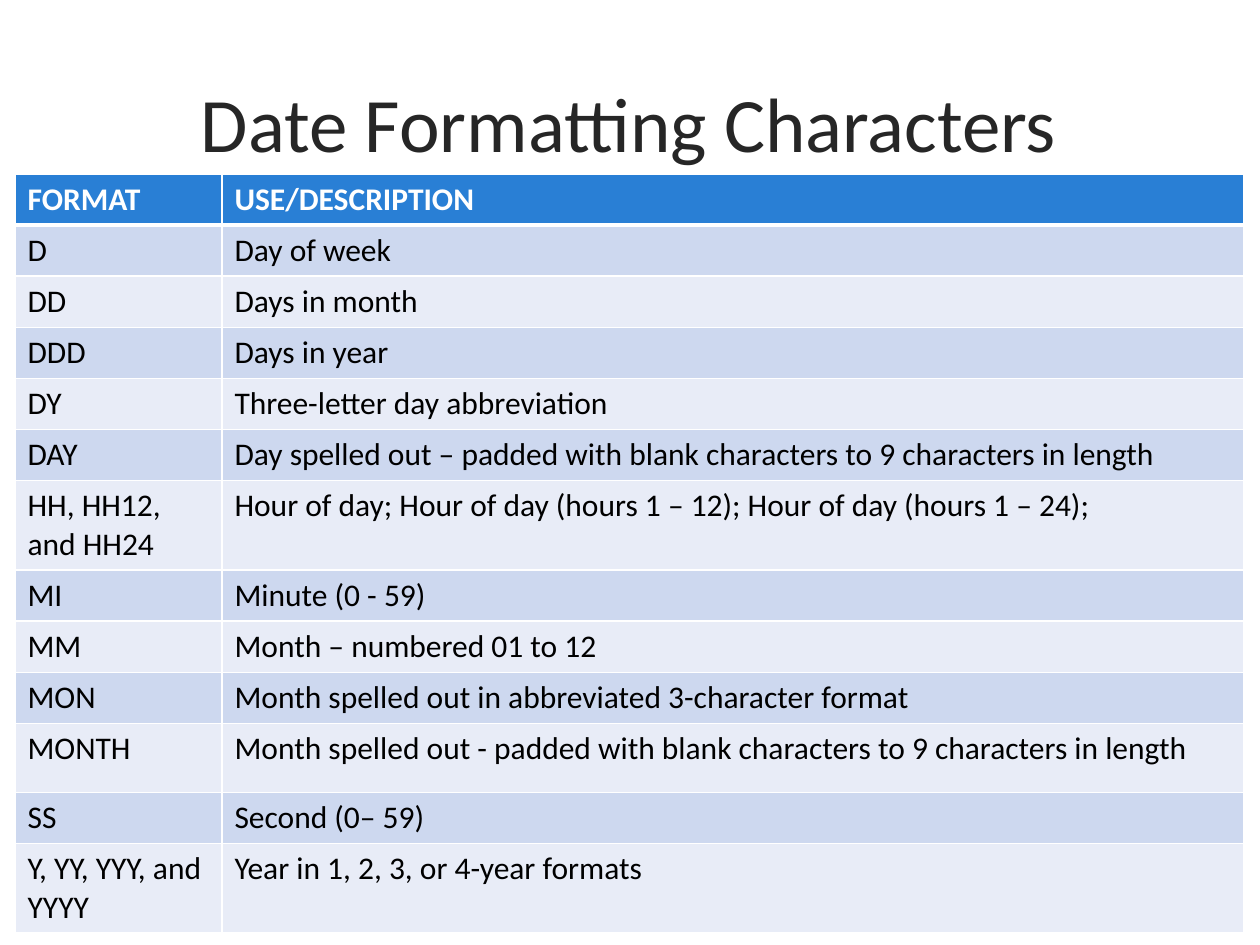
from lxml import etree
from pptx import Presentation
from pptx.dml.color import RGBColor
from pptx.enum.text import MSO_ANCHOR, PP_ALIGN
from pptx.oxml.ns import qn
from pptx.util import Pt

PX = 914400 // 126
MIDDLE = MSO_ANCHOR.MIDDLE
CENTER = PP_ALIGN.CENTER
FONT = "Calibri"
COLORS = {
    "title": "262626",
    "header": "297FD5",
    "odd": "CDD8EF",
    "even": "E8ECF7",
    "white": "FFFFFF",
    "black": "000000",
}
COLUMN_WIDTHS = (207, 1022)
ROW_HEIGHT = 40
TALL_ROW_HEIGHT = 69
TALL_FORMATS = ("HH, HH12, and HH24", "MONTH", "Y, YY, YYY, and YYYY")
FORMATS = [
    ("FORMAT", "USE/DESCRIPTION"),
    ("D", "Day of week"),
    ("DD", "Days in month"),
    ("DDD", "Days in year"),
    ("DY", "Three-letter day abbreviation"),
    ("DAY", "Day spelled out – padded with blank characters to 9 characters in length"),
    ("HH, HH12, and HH24", "Hour of day; Hour of day (hours 1 – 12); Hour of day (hours 1 – 24);"),
    ("MI", "Minute (0 - 59)"),
    ("MM", "Month – numbered 01 to 12"),
    ("MON", "Month spelled out in abbreviated 3-character format"),
    ("MONTH", "Month spelled out - padded with blank characters to 9 characters in length"),
    ("SS", "Second (0– 59)"),
    ("Y, YY, YYY, and YYYY", "Year in 1, 2, 3, or 4-year formats"),
]


def px(*lengths):
    """Turn pixel lengths into EMU."""
    return [length * PX for length in lengths]


def add_span(para, text, size, color, bold=False):
    """Add one styled run to a paragraph."""
    span = para.add_run()
    span.text = text
    span.font.name = FONT
    span.font.size = Pt(size)
    span.font.bold = bold
    span.font.color.rgb = RGBColor.from_string(COLORS[color])


def add_title(page, text):
    """Add the centred page title."""
    box = page.shapes.add_textbox(*px(99, 43, 1060, 158))
    frame = box.text_frame
    frame.word_wrap = True
    frame.vertical_anchor = MIDDLE
    para = frame.paragraphs[0]
    para.alignment = CENTER
    add_span(para, text, 44, "title")


def set_borders(cell, bottom_width):
    """Draw white lines around a cell."""
    properties = cell._tc.get_or_add_tcPr()
    for side, width in (("L", 1), ("R", 1), ("T", 1), ("B", bottom_width)):
        line = etree.SubElement(properties, qn(f"a:ln{side}"), w=str(Pt(width)))
        fill = etree.SubElement(line, qn("a:solidFill"))
        etree.SubElement(fill, qn("a:srgbClr"), val=COLORS["white"])


def fill_cell(cell, text, is_header, background):
    """Set the borders, background and text of a cell."""
    set_borders(cell, 3 if is_header else 1)
    cell.fill.solid()
    cell.fill.fore_color.rgb = RGBColor.from_string(COLORS[background])
    color = "white" if is_header else "black"
    add_span(cell.text_frame.paragraphs[0], text, 18, color, is_header)


def add_format_table(page):
    """Add the banded table of format characters."""
    heights = [TALL_ROW_HEIGHT if name in TALL_FORMATS else ROW_HEIGHT for name, _ in FORMATS]
    frame = px(15, 174, sum(COLUMN_WIDTHS), sum(heights))
    table = page.shapes.add_table(len(FORMATS), len(COLUMN_WIDTHS), *frame).table
    for column, width in zip(table.columns, px(*COLUMN_WIDTHS)):
        column.width = width
    for index, (row, height, texts) in enumerate(zip(table.rows, px(*heights), FORMATS)):
        row.height = height
        is_header = index == 0
        background = "header" if is_header else "odd" if index % 2 else "even"
        for cell, text in zip(row.cells, texts):
            fill_cell(cell, text, is_header, background)


def main():
    """Build the slide and save it."""
    deck = Presentation()
    deck.slide_width, deck.slide_height = px(1260, 945)
    page = deck.slides.add_slide(deck.slide_layouts[6])
    add_format_table(page)
    add_title(page, "Date Formatting Characters")
    deck.save("out.pptx")


if __name__ == "__main__":
    main()
